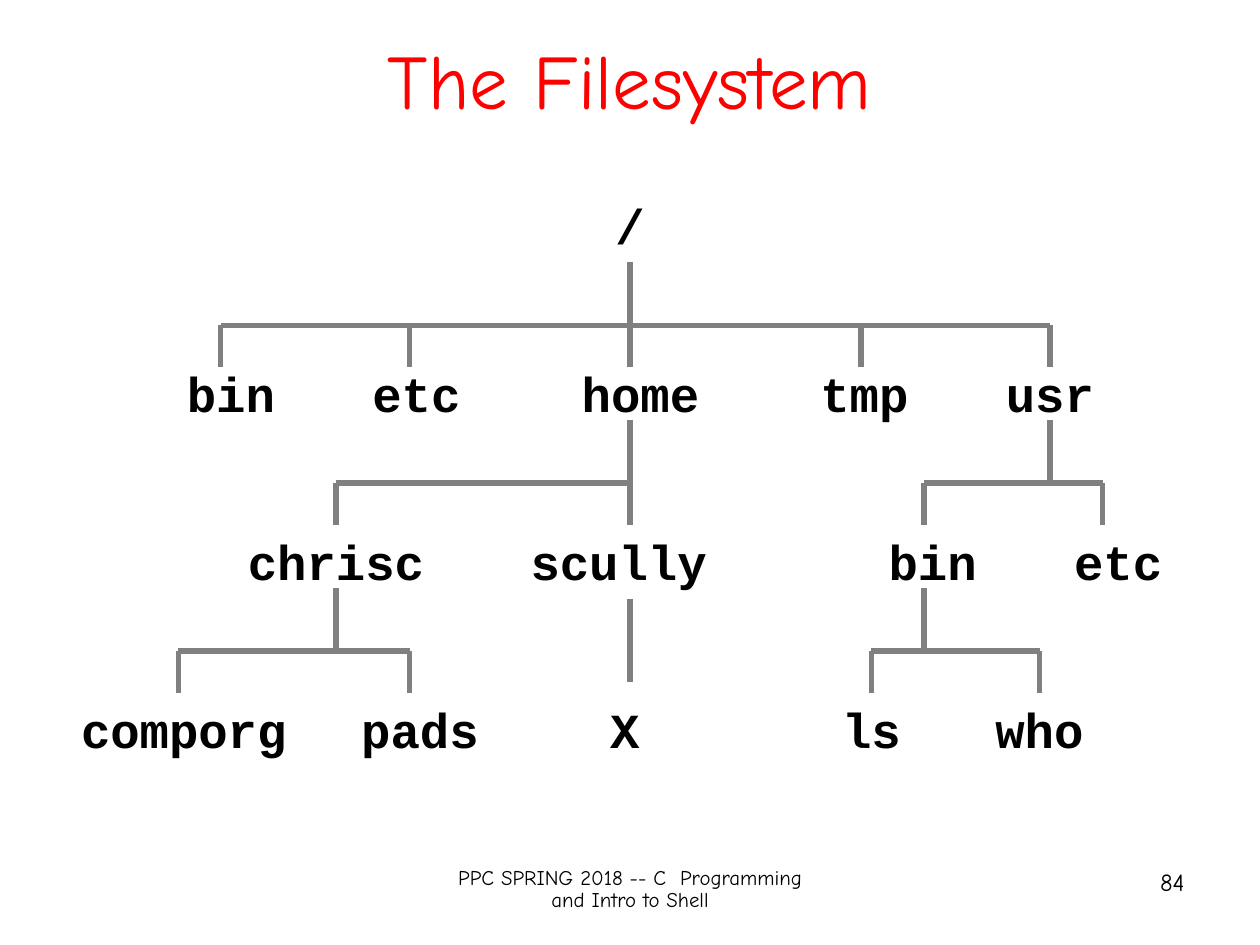
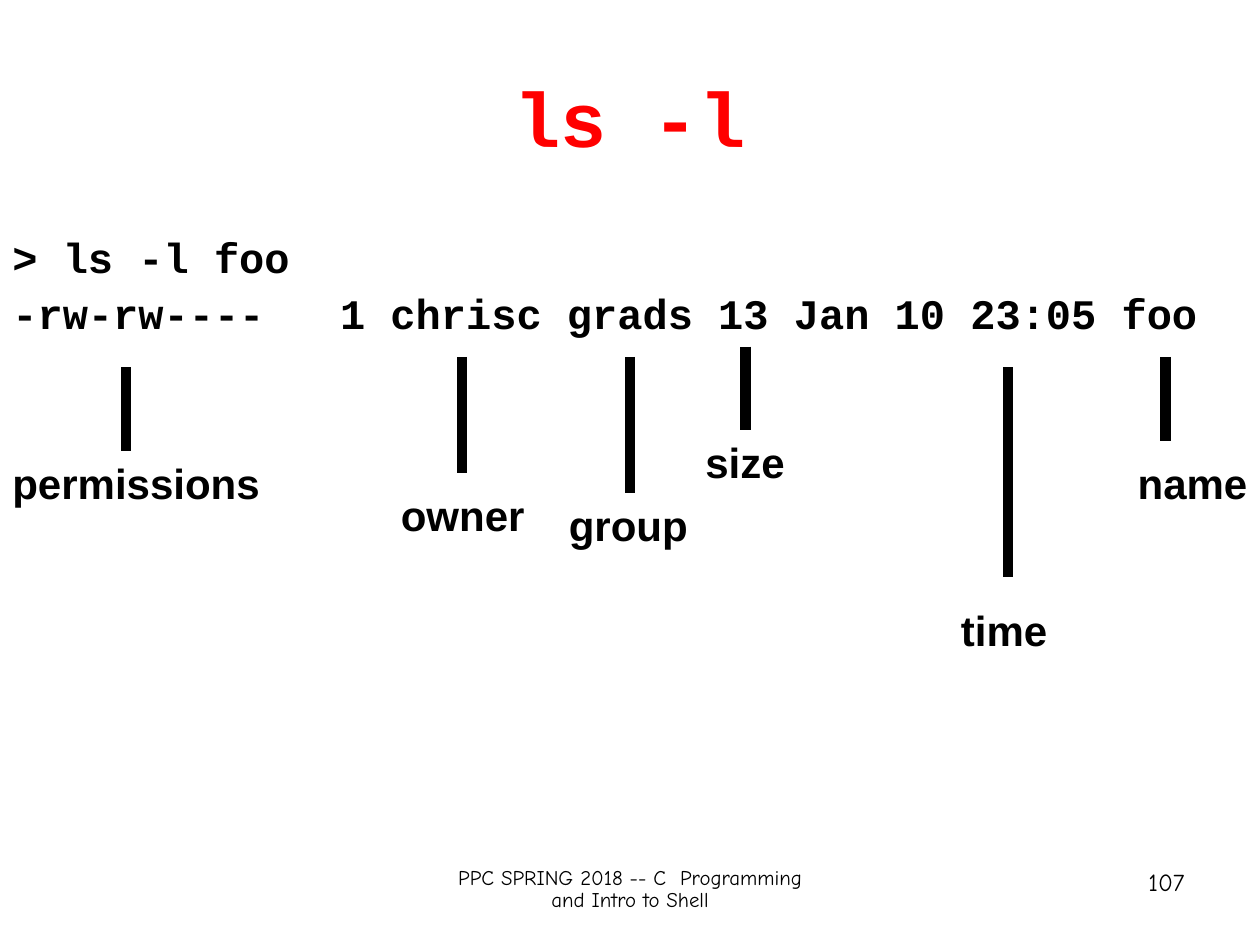
from pptx import Presentation
from pptx.dml.color import RGBColor
from pptx.enum import shapes, text
from pptx.oxml.ns import qn
from pptx.util import Pt
from lxml import etree

RED = RGBColor(255, 0, 0)
BLACK = RGBColor(0, 0, 0)
GREY = RGBColor(128, 128, 128)
HAND, MONO, SANS = "Comic Neue", "Courier New", "Arial"
LEFT, MID, RIGHT = text.PP_ALIGN.LEFT, text.PP_ALIGN.CENTER, text.PP_ALIGN.RIGHT

FOOTER = "PPC SPRING 2018 -- C  Programming and Intro to Shell"

# Each level: label top, bar height above it, then
# (name, label left, label width, branch x, parent's branch x)
ROOT = ("/", 336, 48, 360)
ROOT_TOP, LABEL_H = 108, 41
LEVELS = [
    (204, 186, [
        ("bin", 99, 66, 126, 360),
        ("etc", 205, 66, 234, 360),
        ("home", 312, 108, 360, 360),
        ("tmp", 461, 66, 492, 360),
        ("usr", 567, 66, 600, 360),
    ]),
    (300, 276, [
        ("chrisc", 120, 144, 192, 360),
        ("scully", 282, 143, 360, 360),
        ("bin", 500, 66, 528, 600),
        ("etc", 606, 66, 630, 600),
    ]),
    (396, 372, [
        ("comporg", 24, 162, 102, 192),
        ("pads", 186, 108, 234, 192),
        ("X", 324, 66, 360, 360),
        ("ls", 444, 108, 498, 528),
        ("who", 540, 108, 594, 528),
    ]),
]

LISTING = ["> ls -l foo",
           "-rw-rw----   1 chrisc grads 13 Jan 10 23:05 foo"]
# name, label left, label top, label width, pointer x, pointer top, pointer end
FIELDS = [
    ("permissions", 0, 258, 160, 72, 210, 258),
    ("owner", 222, 276, 89, 264, 204, 270),
    ("group", 318, 282, 86, 360, 204, 282),
    ("size", 396, 246, 64, 426, 198, 246),
    ("time", 542, 342, 67, 576, 210, 330),
    ("name", 643, 258, 81, 666, 204, 252),
]


def style(para, face, size, color=BLACK, bold=False, align=LEFT):
    font = para.font
    font.name, font.size, font.bold = face, Pt(size), bold
    font.color.rgb = color
    para.alignment = align


def label(slide, lines, box, face, size, **looks):
    frame = slide.shapes.add_textbox(*map(Pt, box)).text_frame
    frame.word_wrap = True
    frame.text = "\n".join(lines)
    for para in frame.paragraphs:
        style(para, face, size, **looks)
    return frame


def line(slide, ends, color, width):
    link = slide.shapes.add_connector(
        shapes.MSO_CONNECTOR.STRAIGHT, *map(Pt, ends))
    link.line.color.rgb = color
    link.line.width = Pt(width)
    etree.SubElement(link._element.spPr, qn("a:effectLst"))


def start(deck, name, number, box, face, bold=False):
    """Add a slide with its title, footer and page number."""
    slide = deck.slides.add_slide(deck.slide_layouts[5])
    title = slide.shapes.title
    title.left, title.top, title.width, title.height = map(Pt, box)
    frame = title.text_frame
    frame.text = name
    frame.auto_size = text.MSO_AUTO_SIZE.NONE
    frame.vertical_anchor = text.MSO_ANCHOR.MIDDLE
    style(frame.paragraphs[0], face, 44, RED, bold, MID)
    foot = label(slide, [FOOTER], (246, 492, 228, 37.5), HAND, 11.9, align=MID)
    foot.paragraphs[0].line_spacing = 0.9
    label(slide, [str(number)], (516, 492, 168, 37.5), HAND, 14, align=RIGHT)
    return slide


def node(slide, name, left, top, width):
    label(slide, [name], (left, top, width, LABEL_H), MONO, 28,
          bold=True, align=MID)


def branch(slide, stem, drops, bar):
    """Join a parent's stem to its children's drops along a bar."""
    if drops == [stem]:
        parts = [(stem, bar - 30, stem, bar + 18)]
    else:
        span = drops + [stem]
        parts = [(stem, bar - 36, stem, bar), (min(span), bar, max(span), bar)]
        parts += [(x, bar, x, bar + 24) for x in drops]
    for ends in parts:
        line(slide, ends, GREY, 3)


def tree(deck):
    slide = start(deck, "The Filesystem", 84, (54, 22.5, 612, 45), HAND)
    name, left, width, _ = ROOT
    node(slide, name, left, ROOT_TOP, width)
    for top, bar, nodes in LEVELS:
        kids = {}
        for name, left, width, x, stem in nodes:
            node(slide, name, left, top, width)
            kids.setdefault(stem, []).append(x)
        for stem, drops in kids.items():
            branch(slide, stem, drops, bar)


def listing(deck):
    slide = start(deck, "ls -l", 107, (36, 21.5, 648, 90), MONO, True)
    body = label(slide, LISTING, (0, 132, 720, 108), MONO, 24, bold=True)
    for para in body.paragraphs:
        para.line_spacing = 0.9
        para.space_before = Pt(6)
    for name, left, top, width, x, head, end in FIELDS:
        field = label(slide, [name], (left, top, width, 36), SANS, 24, bold=True)
        field.margin_right = 0
        line(slide, (x, head, x, end), BLACK, 6)


def main():
    deck = Presentation()
    deck.slide_width, deck.slide_height = Pt(720), Pt(540)
    tree(deck)
    listing(deck)
    deck.save("out.pptx")


if __name__ == "__main__":
    main()
